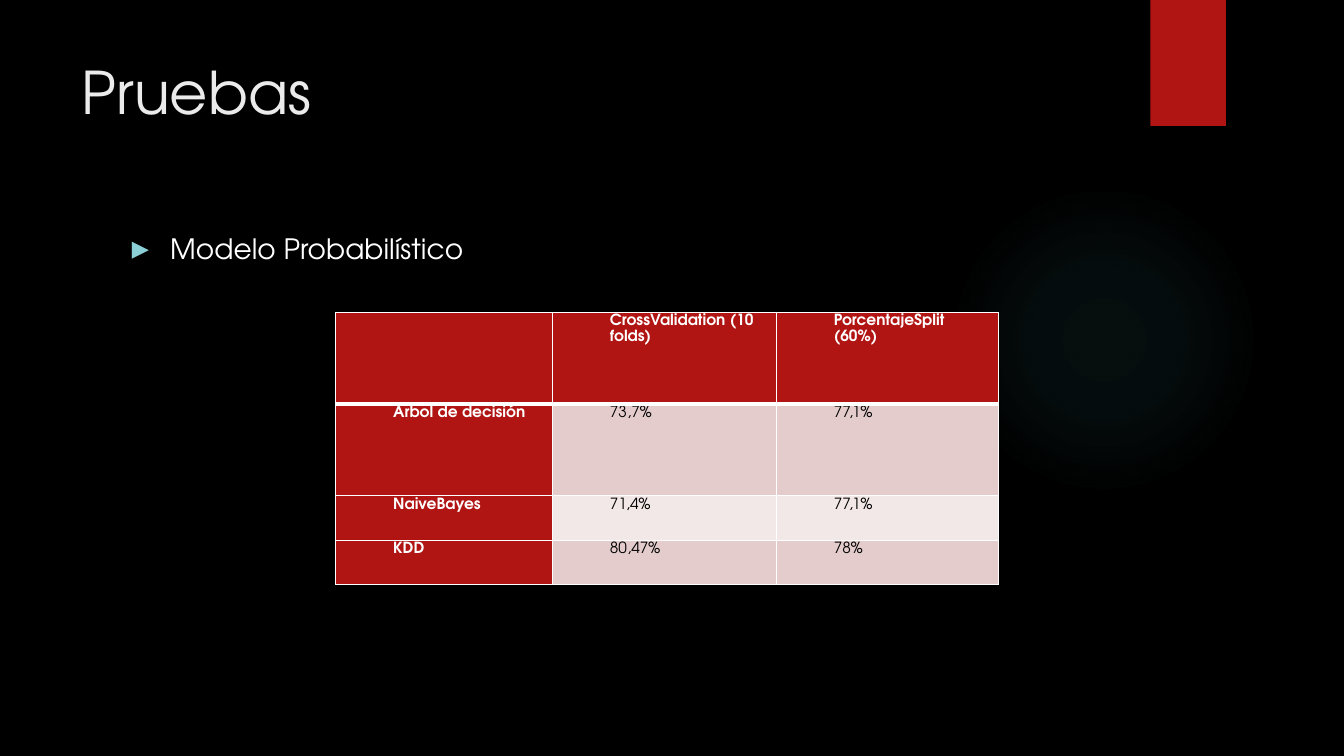
from lxml.etree import SubElement
from pptx import Presentation
from pptx.dml.color import RGBColor
from pptx.enum.shapes import MSO_SHAPE
from pptx.enum.text import MSO_ANCHOR, PP_ALIGN
from pptx.oxml import parse_xml
from pptx.oxml.ns import nsdecls, qn
from pptx.util import Inches, Pt

BLACK = RGBColor(0x00, 0x00, 0x00)
WHITE = RGBColor(0xFF, 0xFF, 0xFF)
LIGHT = RGBColor(0xEB, 0xEB, 0xEB)
RED = RGBColor(0xB0, 0x15, 0x13)
AQUA = RGBColor(0x8A, 0xD0, 0xD6)
GLOW = RGBColor(0x50, 0xB9, 0xC1)
BAND_DARK = RGBColor(0xE4, 0xCC, 0xCC)
BAND_LIGHT = RGBColor(0xF2, 0xE8, 0xE7)
FONT = "TeX Gyre Adventor"

COLS = [2.15, 2.22, 2.2]
ROW_HEIGHTS = [0.91, 0.91, 0.44, 0.44]
RESULTS = [
    ["", "CrossValidation (10 folds)", "PorcentajeSplit  (60%)"],
    ["Arbol de decisión", "73,7%", "77,1%"],
    ["NaiveBayes", "71,4%", "77,1%"],
    ["KDD", "80,47%", "78%"],
]


def write(tf, text, size, color, bold=False, line=None, before=0, margin=0, indent=0):
    p = tf.paragraphs[0]
    p.alignment = PP_ALIGN.LEFT
    p.space_before = Pt(before)
    if line:
        p.line_spacing = line
    pPr = p._p.get_or_add_pPr()
    pPr.set("marL", str(Inches(margin)))
    pPr.set("indent", str(Inches(indent)))
    r = p.add_run()
    r.text = text
    r.font.name = FONT
    r.font.size = Pt(size)
    r.font.bold = bold
    r.font.color.rgb = color
    return p


def add_preset(s, kind, x, y, w, h):
    sp = s.shapes.add_shape(kind, Inches(x), Inches(y), Inches(w), Inches(h))
    sp.shadow.inherit = False
    sp.line.fill.background()
    return sp


def add_glow(s, x, y, size):
    sp = add_preset(s, MSO_SHAPE.OVAL, x, y, size, size)
    stops = "".join(
        f'<a:gs pos="{pos * 1000}"><a:srgbClr val="{GLOW}">'
        f'<a:alpha val="{alpha * 1000}"/></a:srgbClr></a:gs>'
        for pos, alpha in [(0, 7), (36, 6), (69, 0)]
    )
    grad = parse_xml(
        f'<a:gradFill {nsdecls("a")} rotWithShape="1"><a:gsLst>{stops}</a:gsLst>'
        '<a:path path="circle"><a:fillToRect l="50000" t="50000" r="50000" b="50000"/>'
        "</a:path></a:gradFill>"
    )
    sp._element.spPr.find(qn("a:prstGeom")).addnext(grad)


def add_ribbon(s, x, y, w, h):
    sp = add_preset(s, MSO_SHAPE.RECTANGLE, x, y, w, h)
    sp.fill.solid()
    sp.fill.fore_color.rgb = RED


def add_title(s, text, x, y, w, h):
    sp = s.shapes.title
    sp.left, sp.top, sp.width, sp.height = (Inches(v) for v in (x, y, w, h))
    sp.text_frame.vertical_anchor = MSO_ANCHOR.TOP
    write(sp.text_frame, text, 42, LIGHT)


def add_body(s, text, x, y, w, h):
    tf = s.shapes.add_textbox(Inches(x), Inches(y), Inches(w), Inches(h)).text_frame
    tf.word_wrap = True
    p = write(tf, text, 20, WHITE, before=10, margin=0.38, indent=-0.38)
    pPr = p._p.get_or_add_pPr()
    SubElement(SubElement(pPr, qn("a:buClr")), qn("a:srgbClr")).set("val", str(AQUA))
    SubElement(pPr, qn("a:buSzPct")).set("val", "80000")
    SubElement(pPr, qn("a:buFont")).set("typeface", "DejaVu Sans")
    SubElement(pPr, qn("a:buChar")).set("char", "▶")


def set_borders(cell, widths):
    tcPr = cell._tc.get_or_add_tcPr()
    for i, (side, width) in enumerate(widths.items()):
        tcPr.insert(i, parse_xml(
            f'<a:{side} {nsdecls("a")} w="{Pt(width)}"><a:solidFill>'
            f'<a:srgbClr val="{WHITE}"/></a:solidFill></a:{side}>'
        ))


def add_results(s, x, y):
    table = s.shapes.add_table(
        len(RESULTS), len(COLS), Inches(x), Inches(y),
        Inches(sum(COLS)), Inches(sum(ROW_HEIGHTS)),
    ).table
    for col, width in zip(table.columns, COLS):
        col.width = Inches(width)
    for i, (row, height) in enumerate(zip(table.rows, ROW_HEIGHTS)):
        row.height = Inches(height)
        for j, cell in enumerate(row.cells):
            header = i == 0 or j == 0
            band = BAND_DARK if i % 2 else BAND_LIGHT
            cell.fill.solid()
            cell.fill.fore_color.rgb = RED if header else band
            cell.margin_left = cell.margin_right = Inches(0.07)
            cell.margin_top = cell.margin_bottom = 0
            set_borders(cell, {
                "lnL": 1, "lnR": 1,
                "lnT": 3 if i == 1 else 1,
                "lnB": 3 if i == 0 else 1,
            })
            if RESULTS[i][j]:
                write(cell.text_frame, RESULTS[i][j], 11, WHITE if header else BLACK,
                      bold=header, line=Pt(11.5), margin=0.5)


def build_slide(prs):
    s = prs.slides.add_slide(prs.slide_layouts.get_by_name("Title Only"))
    s.background.fill.solid()
    s.background.fill.fore_color.rgb = BLACK
    add_glow(s, 9.41, 1.83, 3.08)
    add_ribbon(s, 11.41, 0, 0.75, 1.25)
    add_title(s, "Pruebas", 0.71, 0.5, 10.29, 1.53)
    add_body(s, "Modelo Probabilístico", 1.21, 2.25, 9.78, 4.59)
    add_results(s, 3.33, 3.1)


def main():
    prs = Presentation()
    prs.slide_width, prs.slide_height = Inches(13.33), Inches(7.5)
    build_slide(prs)
    prs.save("out.pptx")


if __name__ == "__main__":
    main()
